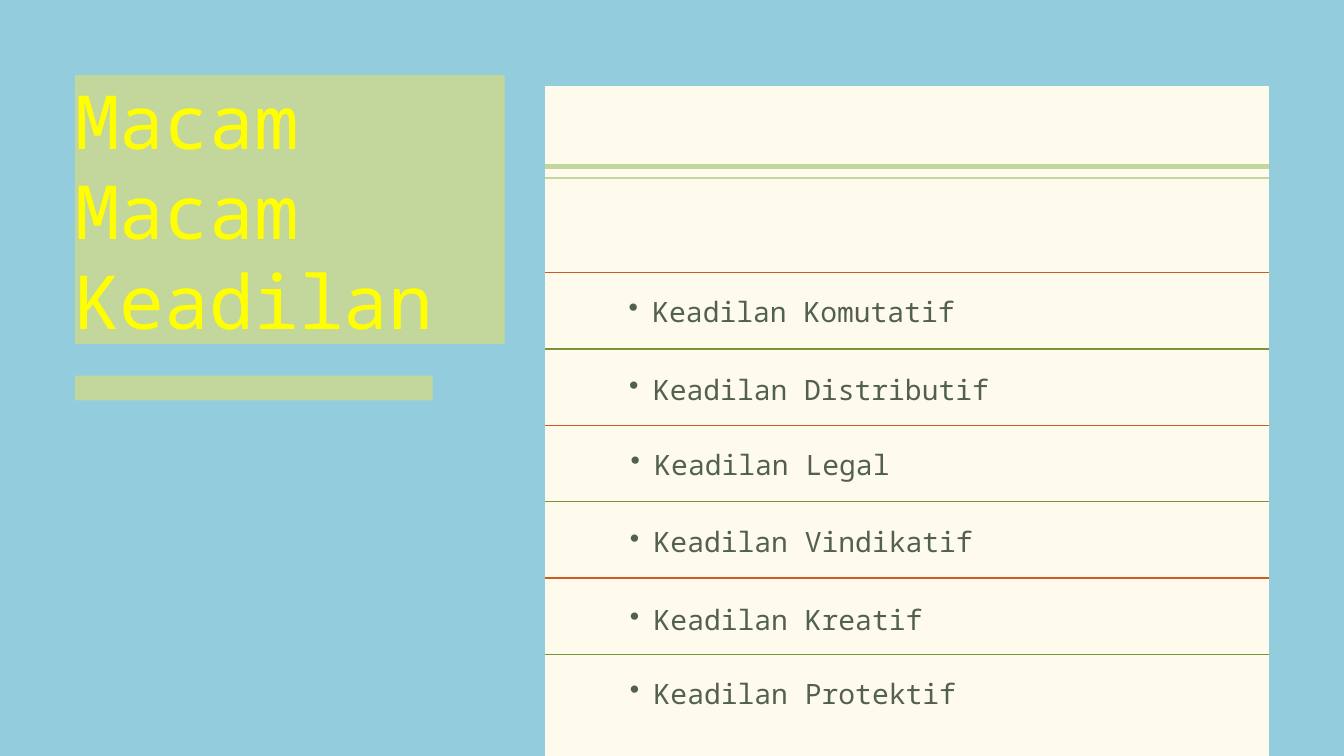
from lxml import etree
from pptx import Presentation
from pptx.dml.color import RGBColor
from pptx.enum.shapes import MSO_CONNECTOR, MSO_SHAPE
from pptx.enum.text import MSO_ANCHOR, PP_ALIGN
from pptx.oxml.ns import qn
from pptx.util import Pt

SKY = RGBColor(0x93, 0xCD, 0xDD)
CREAM = RGBColor(0xFF, 0xFB, 0xEC)
SAGE = RGBColor(0xC3, 0xD6, 0x9B)
OLIVE = RGBColor(0x77, 0x93, 0x3C)
RUST = RGBColor(0xD0, 0x58, 0x25)
YELLOW = RGBColor(0xFF, 0xFF, 0x00)
MOSS = RGBColor(0x52, 0x61, 0x4E)
FONT = "Noto Sans Mono"
RECTANGLE = MSO_SHAPE.RECTANGLE
STRAIGHT = MSO_CONNECTOR.STRAIGHT
TOP = MSO_ANCHOR.TOP
LEFT = PP_ALIGN.LEFT

PANEL_LEFT, PANEL_WIDTH = 584, 775.5
RULE_TOP, RULE_STEP = 292, 81.8

deck = Presentation()
deck.slide_width = Pt(1440)
deck.slide_height = Pt(810)
page = deck.slides.add_slide(deck.slide_layouts[6])
page.background.fill.solid()
page.background.fill.fore_color.rgb = SKY


def add_block(left, top, width, height, color):
    block = page.shapes.add_shape(RECTANGLE, Pt(left), Pt(top), Pt(width), Pt(height))
    block.shadow.inherit = False
    block.fill.solid()
    block.fill.fore_color.rgb = color
    block.line.fill.background()
    return block


def write(shape, lines, size, spacing, color):
    frame = shape.text_frame
    frame.word_wrap = True
    frame.vertical_anchor = TOP
    frame.margin_left = frame.margin_top = frame.margin_right = frame.margin_bottom = 0
    frame.text = "\n".join(lines)
    for para in frame.paragraphs:
        para.alignment = LEFT
        para.line_spacing = Pt(spacing)
        para.font.name = FONT
        para.font.size = Pt(size)
        para.font.color.rgb = color
    return frame


add_block(PANEL_LEFT, 92.2, PANEL_WIDTH, 717.8, CREAM)

title = add_block(80.6, 80.6, 460, 288, SAGE)
write(title, ["Macam", "Macam", "Keadilan"], 80, 96, YELLOW)
add_block(80.6, 402.5, 383, 26.6, SAGE)

items = [
    ("Keadilan Komutatif", 648, 312.5),
    ("Keadilan Distributif", 648.7, 396),
    ("Keadilan Legal", 650.2, 476),
    ("Keadilan Vindikatif", 649.4, 559.4),
    ("Keadilan Kreatif", 649.4, 643),
    ("Keadilan Protektif", 649.4, 721.4),
]
for text, left, top in items:
    box = page.shapes.add_textbox(Pt(left), Pt(top), Pt(684), Pt(38.2))
    para = write(box, [text], 30, 39, MOSS).paragraphs[0]
    para.level = 1
    properties = para._p.get_or_add_pPr()
    properties.set("marL", str(Pt(51)))
    properties.set("indent", str(Pt(-25.5)))
    bullet = etree.Element(qn("a:buChar"), char="•")
    properties.find(qn("a:defRPr")).addprevious(bullet)

rules = [(178.6, SAGE, 5), (190.8, SAGE, 2)]
rules += [(RULE_TOP + row * RULE_STEP, (RUST, OLIVE)[row % 2], 1.5) for row in range(len(items))]
for top, color, weight in rules:
    rule = page.shapes.add_connector(
        STRAIGHT, Pt(PANEL_LEFT), Pt(top), Pt(PANEL_LEFT + PANEL_WIDTH), Pt(top)
    )
    rule.line.color.rgb = color
    rule.line.width = Pt(weight)
    etree.SubElement(rule._element.spPr, qn("a:effectLst"))

deck.save("out.pptx")
